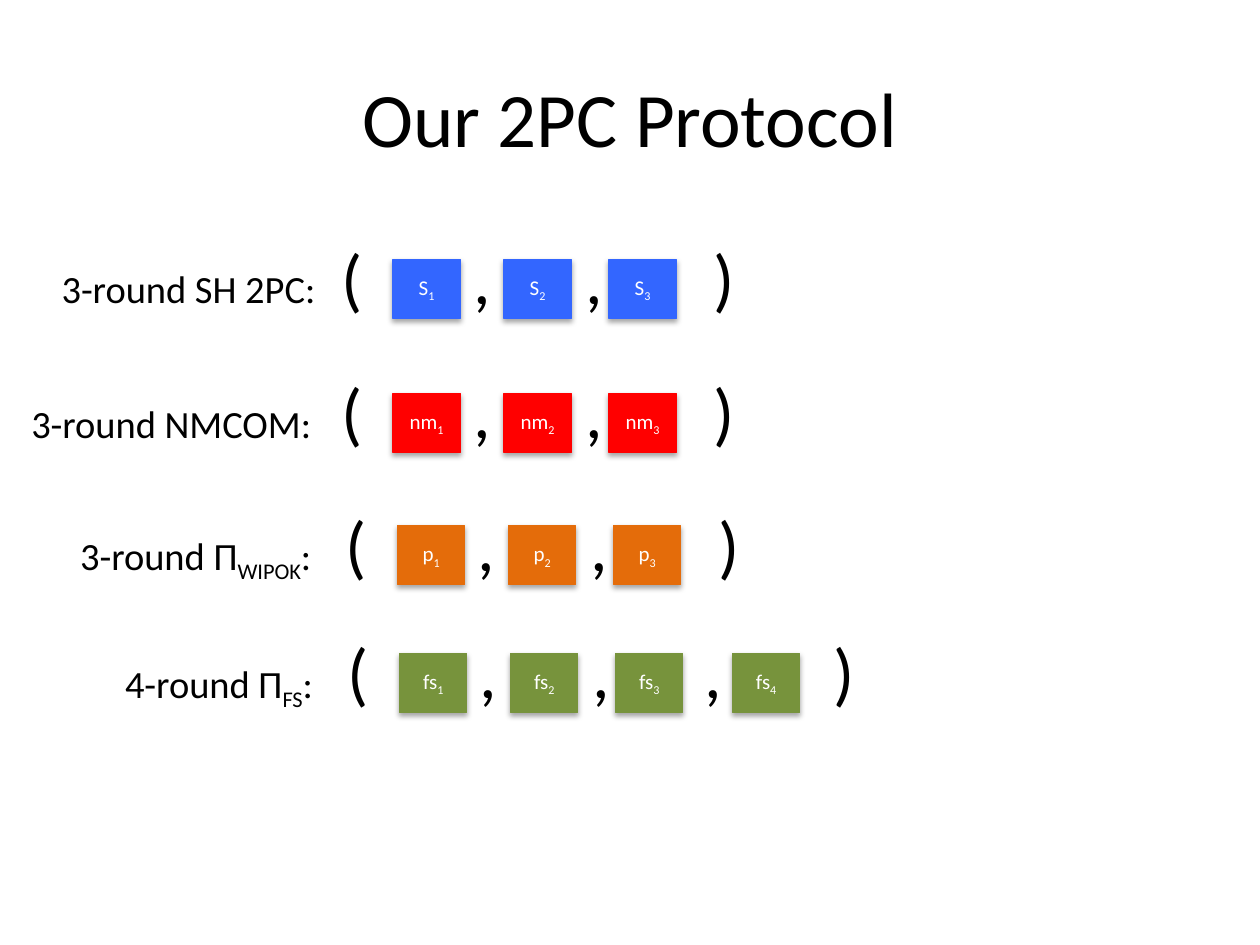
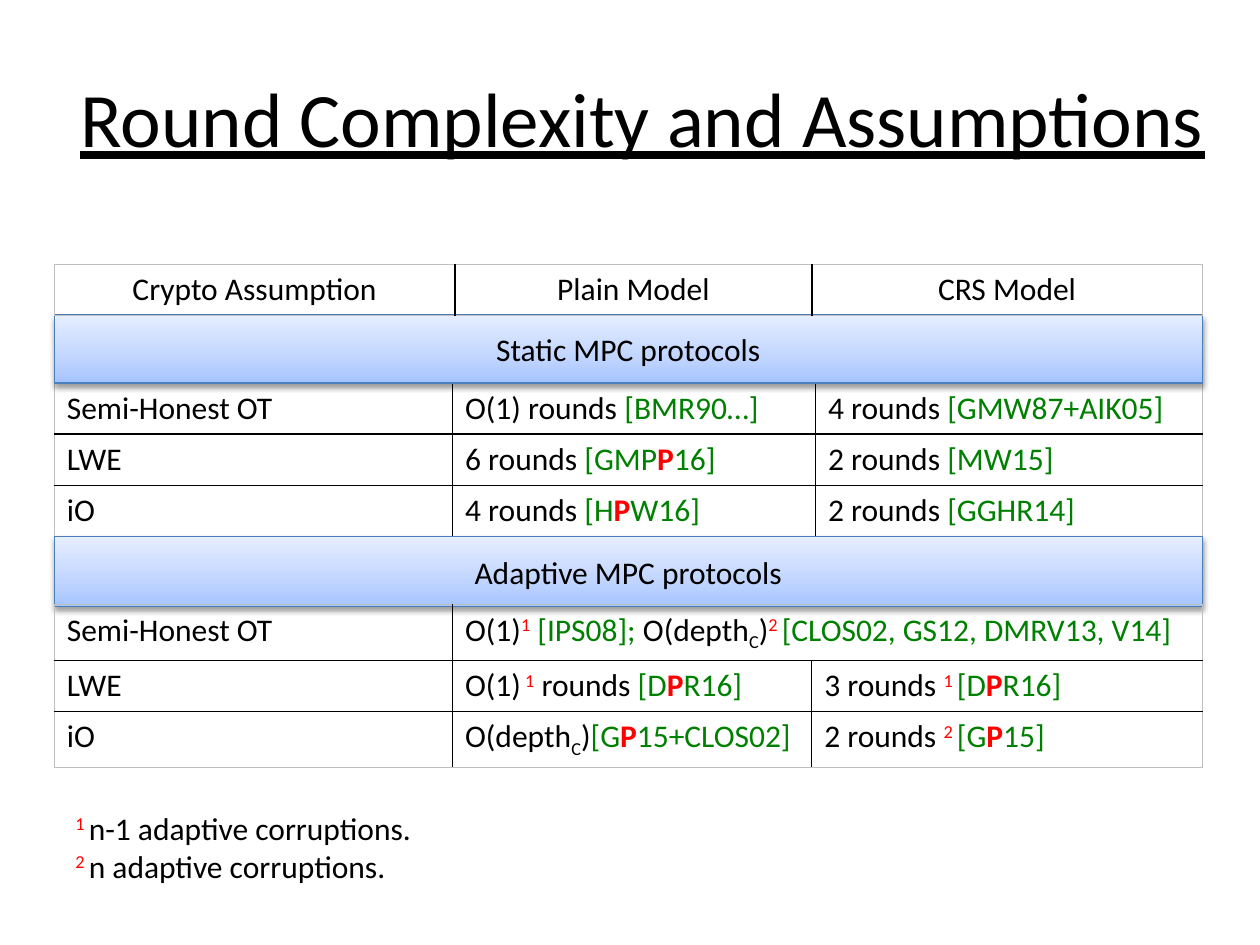
from typing import NamedTuple, Sequence

from lxml import etree
from pptx import Presentation
from pptx.dml.color import RGBColor
from pptx.enum import shapes, text
from pptx.oxml.ns import qn
from pptx.util import Pt

FONT = "Calibri"
COLORS = {
    "ink": "000000", "white": "FFFFFF", "cite": "008000", "mark": "FF0000",
    "semi_honest": "3366FF", "commitment": "FF0000", "wipok": "E46C0A", "fs": "77933C",
    "band_line": "4B7EBC", "frame": "BFBFBF",
}
BAND_STOPS = ((0, "A4C4FF"), (35, "BFD4FF"), (100, "E6EEFF"))
CENTER, LEFT = text.PP_ALIGN.CENTER, text.PP_ALIGN.LEFT


class Piece(NamedTuple):
    words: str
    color: str = ""
    baseline: int = 0
    bold: bool = False


Line = Sequence[Piece]


class Rect(NamedTuple):
    left: float
    top: float
    width: float
    height: float

    def points(self) -> list:
        return [Pt(length) for length in self]


class Message(NamedTuple):
    """One protocol: its label and the messages of its rounds."""
    label: Line
    label_left: float
    label_width: float
    tuple_left: float
    top: float
    symbol: str
    rounds: int
    color: str


class Grid(NamedTuple):
    top: float
    columns: Sequence[float]
    row_height: float
    rows: Sequence[Sequence[Line]]
    align: text.PP_ALIGN = LEFT


# Text pieces
def plain(words: str) -> Piece:
    return Piece(words)


def sub(words: str) -> Piece:
    return Piece(words, baseline=-25)


def note(words: str) -> Piece:
    return Piece(words, "mark", 30)


def cite(before: str, after: str = "") -> list[Piece]:
    """A citation; with two parts, a highlighted P stands between them."""
    if not after:
        return [Piece(before, "cite")]
    return [Piece(before, "cite"), Piece("P", "mark", bold=True), Piece(after, "cite")]


# Shared drawing
def rgb(name: str) -> RGBColor:
    return RGBColor.from_string(COLORS[name])


def write(paragraph, line: Line, size: float, color: str = "ink",
          align: text.PP_ALIGN = LEFT, underline: bool = False) -> None:
    paragraph.alignment = align
    font = paragraph.font
    font.name, font.size = FONT, Pt(size)
    font.color.rgb = rgb(color)
    if underline:
        font.underline = True
    for piece in line:
        run = paragraph.add_run()
        run.text = piece.words
        if piece.color:
            run.font.color.rgb = rgb(piece.color)
        if piece.bold:
            run.font.bold = True
        if piece.baseline:
            run.font._element.set("baseline", str(piece.baseline * 1000))


def text_frame(slide, rect: Rect, wrap: bool = False):
    frame = slide.shapes.add_textbox(*rect.points()).text_frame
    frame.word_wrap = wrap
    return frame


def add_title(slide, words: str, width: float, underline: bool = False) -> None:
    frame = text_frame(slide, Rect(36, 21.6, width, 90), wrap=True)
    frame.vertical_anchor = text.MSO_ANCHOR.MIDDLE
    write(frame.paragraphs[0], [plain(words)], 44, align=CENTER, underline=underline)


def add_box(slide, rect: Rect, line_color: str, shadow_alpha: int):
    box = slide.shapes.add_shape(shapes.MSO_SHAPE.RECTANGLE, *rect.points())
    box.line.color.rgb = rgb(line_color)
    box.line.width = Pt(0.75)
    box.text_frame.vertical_anchor = text.MSO_ANCHOR.MIDDLE
    box.shadow.inherit = False
    effects = box._element.spPr.find(qn("a:effectLst"))
    shadow = etree.SubElement(effects, qn("a:outerShdw"), blurRad=str(Pt(3.1)),
                              dist=str(Pt(1.8)), dir="5400000", rotWithShape="0")
    black = etree.SubElement(shadow, qn("a:srgbClr"), val=COLORS["ink"])
    etree.SubElement(black, qn("a:alpha"), val=str(shadow_alpha * 1000))
    return box


# Slide 1: message tuples
BOX_OFFSETS = (36.6, 100, 160, 226.8)
COMMA_STOPS = (75.4, 139.6, 203.9)
CLOSING_GAP = 73.3

MESSAGES = (
    Message([plain("3-round SH 2PC:")], 28.1, 162, 188, 148.2, "S", 3, "semi_honest"),
    Message([plain("3-round NMCOM:")], 10.8, 177, 188, 224.8, "nm", 3, "commitment"),
    Message([plain("3-round Π"), sub("WIPOK"), plain(":")],
            38.7, 154, 190.6, 300.4, "p", 3, "wipok"),
    Message([plain("4-round Π"), sub("FS"), plain(":")],
            64.4, 125.3, 191.8, 373.4, "fs", 4, "fs"),
)


def add_message(slide, message: Message) -> None:
    label = text_frame(slide, Rect(message.label_left, message.top, message.label_width, 33.8))
    write(label.paragraphs[0], message.label, 22)

    for number, offset in enumerate(BOX_OFFSETS[:message.rounds], 1):
        box = add_box(slide, Rect(message.tuple_left + offset, message.top, 38.4, 33.8),
                      message.color, 35)
        box.fill.solid()
        box.fill.fore_color.rgb = rgb(message.color)
        write(box.text_frame.paragraphs[0], [plain(message.symbol), sub(str(number))],
              12, "white", CENTER)

    # Parentheses and commas stand on tab stops between the boxes
    commas = COMMA_STOPS[:message.rounds - 1]
    marks = text_frame(slide, Rect(message.tuple_left, message.top - 17.6, 352, 55.4), wrap=True)
    paragraph = marks.paragraphs[0]
    tabs = etree.SubElement(paragraph._p.get_or_add_pPr(), qn("a:tabLst"))
    for stop in (*commas, commas[-1] + CLOSING_GAP):
        etree.SubElement(tabs, qn("a:tab"), pos=str(Pt(stop)), algn="l")
    write(paragraph, [plain("\t".join(["(", *"," * len(commas), ")"]))], 40)


# Slide 2: comparison tables
TABLE_LEFT, TABLE_WIDTH = 31, 656
HEADER = Grid(151.2, (229, 204, 223), 29.2, [
    [[plain("Crypto Assumption")], [plain("Plain Model")], [plain("CRS Model")]],
], CENTER)
STATIC = Grid(218.9, (227.6, 207.4, 221), 29.2, [
    [[plain("Semi-Honest ΟΤ")],
     [plain("O(1) rounds "), *cite("[BMR90…]")],
     [plain("4 rounds "), *cite("[GMW87+AIK05]")]],
    [[plain("LWE")],
     [plain("6 rounds "), *cite("[GMP", "16]")],
     [plain("2 rounds "), *cite("[MW15]")]],
    [[plain("iO")],
     [plain("4 rounds "), *cite("[H", "W16]")],
     [plain("2 rounds "), *cite("[GGHR14]")]],
])
ADAPTIVE = Grid(345.6, (227.6, 205.2, 223.2), 29.2, [
    [[plain("Semi-Honest OT")],
     [plain("O(1)"), note("1"), *cite(" [IPS08]; "), plain("O(depth"), sub("C"),
      plain(")"), note("2 "), *cite("[CLOS02, GS12, DMRV13, V14]")]],
    [[plain("LWE")],
     [plain("O(1)"), note(" 1"), plain(" rounds "), *cite("[D", "R16]")],
     [plain("3 rounds "), note("1 "), *cite("[D", "R16]")]],
    [[plain("iO")],
     [plain("O(depth"), sub("C"), plain(")"), *cite("[G", "15+CLOS02]")],
     [plain("2 rounds "), note("2 "), *cite("[G", "15]")]],
])
BANDS = (("Static MPC protocols", 180, 38.9), ("Adaptive MPC protocols", 306.7, 40))
FOOTNOTES = (("1 ", "n-1 adaptive corruptions."), ("2 ", "n adaptive corruptions."))


def add_borders(cell, outer_sides: dict[str, bool]) -> None:
    """Black rules inside the table, a thin grey frame around it."""
    properties = cell._tc.get_or_add_tcPr()
    for index, (side, outer) in enumerate(outer_sides.items()):
        rule = etree.Element(qn(f"a:ln{side}"), w=str(Pt(0.5 if outer else 1)))
        fill = etree.SubElement(rule, qn("a:solidFill"))
        etree.SubElement(fill, qn("a:srgbClr"), val=COLORS["frame" if outer else "ink"])
        properties.insert(index, rule)


def add_grid(slide, grid: Grid) -> None:
    row_count, column_count = len(grid.rows), len(grid.columns)
    rect = Rect(TABLE_LEFT, grid.top, TABLE_WIDTH, grid.row_height * row_count)
    table = slide.shapes.add_table(row_count, column_count, *rect.points()).table
    table.first_row = table.horz_banding = False
    for column, width in zip(table.columns, grid.columns):
        column.width = Pt(width)
    for r, row in enumerate(grid.rows):
        # A short row lets its last cell run to the table's edge
        if len(row) < column_count:
            table.cell(r, len(row) - 1).merge(table.cell(r, column_count - 1))
        for c, line in enumerate(row):
            cell = table.cell(r, c)
            cell.fill.background()
            write(cell.text_frame.paragraphs[0], line, 18, align=grid.align)
            add_borders(cell, {"L": c == 0, "R": c == len(row) - 1,
                               "T": r == 0, "B": r == row_count - 1})
        for c in range(len(row), column_count):
            table.cell(r, c).fill.background()


def add_band(slide, words: str, top: float, height: float) -> None:
    band = add_box(slide, Rect(TABLE_LEFT, top, TABLE_WIDTH, height), "band_line", 38)
    band.fill.gradient()
    band.fill.gradient_angle = 90
    stops = band._element.spPr.find(".//" + qn("a:gsLst"))
    stops.clear()
    for position, color in BAND_STOPS:
        stop = etree.SubElement(stops, qn("a:gs"), pos=str(position * 1000))
        etree.SubElement(stop, qn("a:srgbClr"), val=color)
    write(band.text_frame.paragraphs[0], [plain(words)], 18, align=CENTER)


def build_protocol(slide) -> None:
    for message in MESSAGES:
        add_message(slide, message)
    add_title(slide, "Our 2PC Protocol", 648)


def build_complexity(slide) -> None:
    add_title(slide, "Round Complexity and Assumptions", 662.4, underline=True)
    add_grid(slide, STATIC)
    for band in BANDS:
        add_band(slide, *band)
    add_grid(slide, ADAPTIVE)
    add_grid(slide, HEADER)
    footnotes = text_frame(slide, Rect(36, 458.6, 216.7, 51))
    for index, (number, words) in enumerate(FOOTNOTES):
        paragraph = footnotes.add_paragraph() if index else footnotes.paragraphs[0]
        write(paragraph, [note(number), plain(words)], 18)


def main() -> None:
    deck = Presentation()
    deck.slide_width, deck.slide_height = Pt(720), Pt(540)
    for build in (build_protocol, build_complexity):
        build(deck.slides.add_slide(deck.slide_layouts[6]))
    deck.save("out.pptx")


if __name__ == "__main__":
    main()
